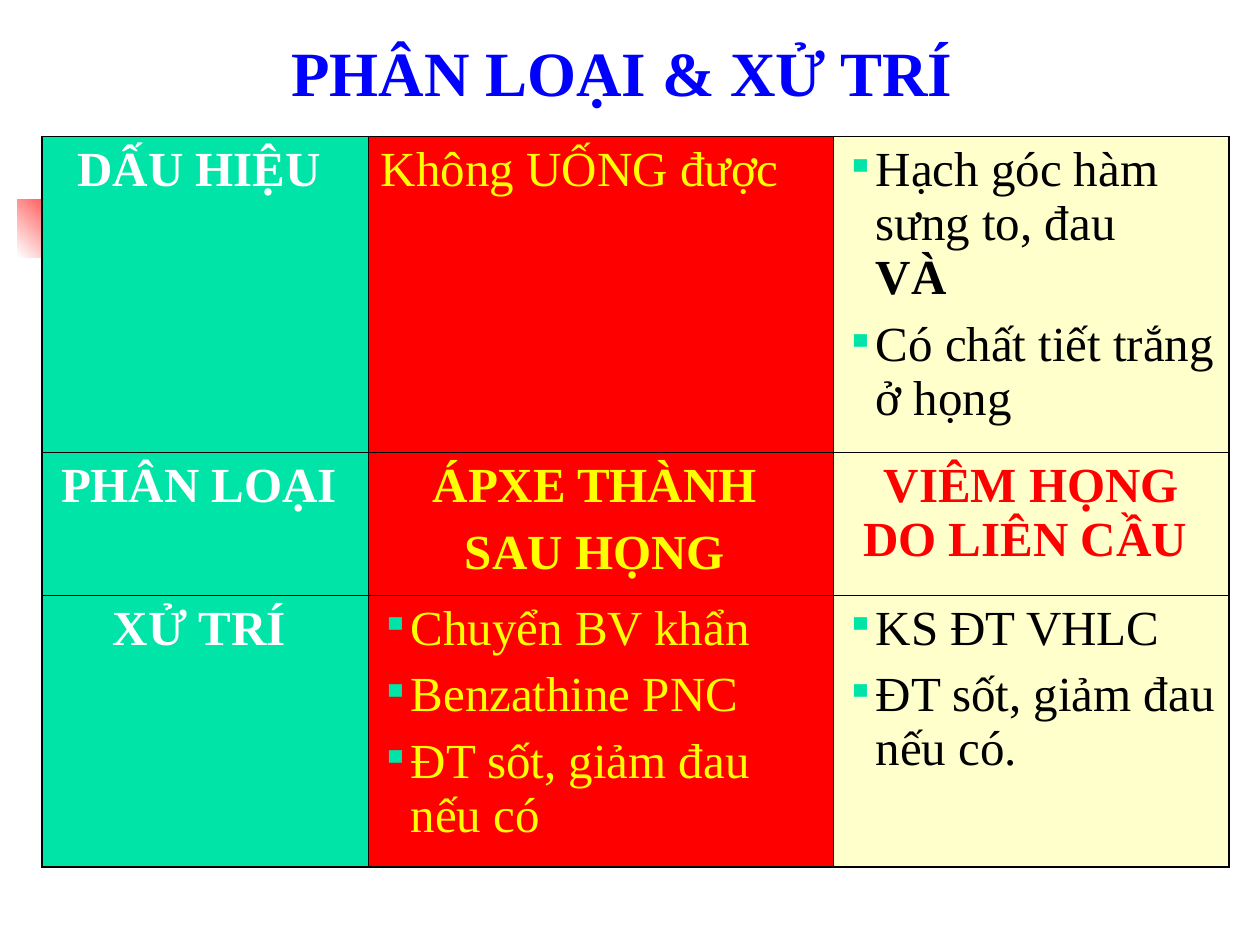
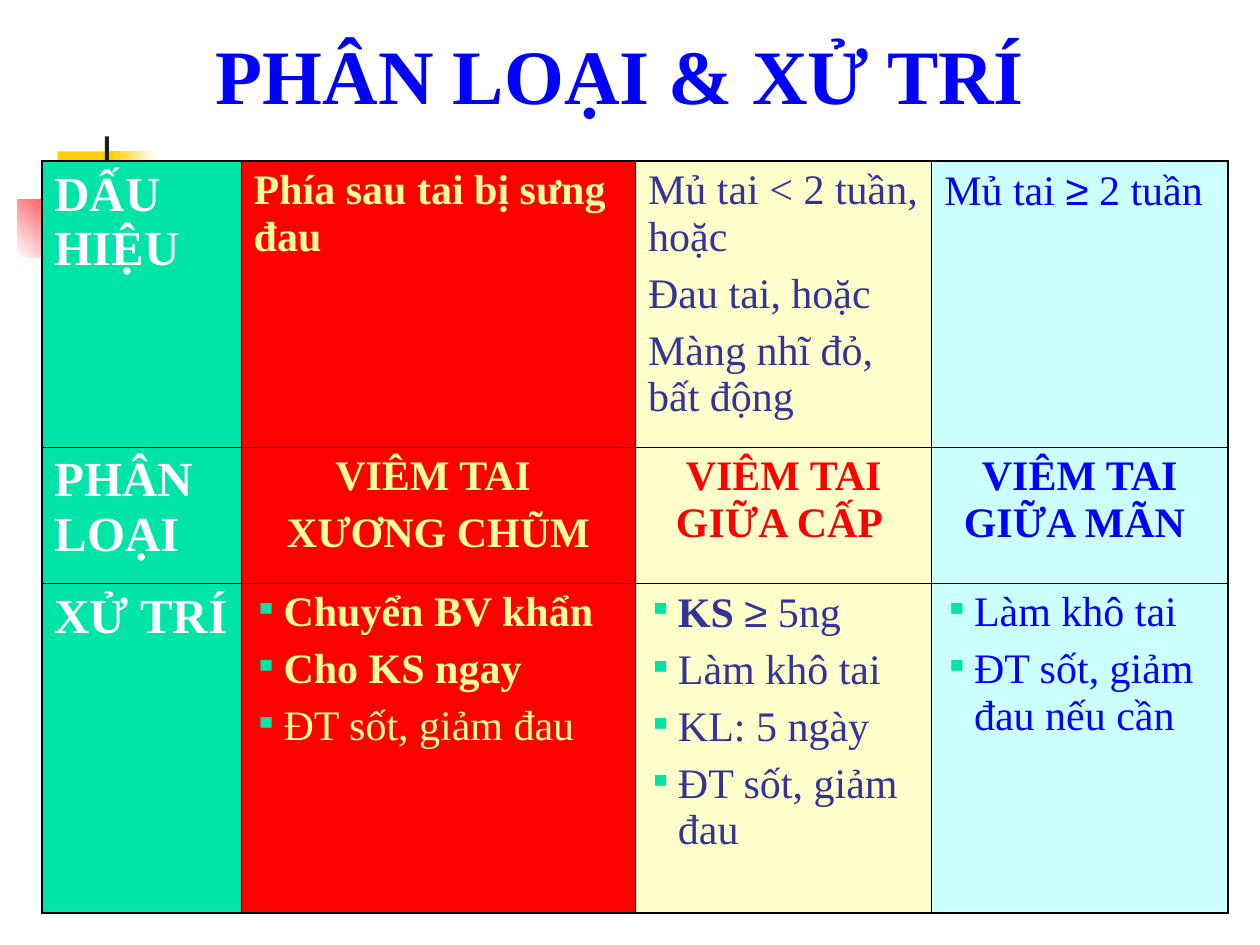
"""Build two slides of classification and treatment tables for throat and ear infections."""
from lxml import etree
from pptx import Presentation
from pptx import util as u
from pptx.dml import color
from pptx.enum import shapes, text
from pptx.oxml import ns

Pt = u.Pt
FONT = "Times New Roman"
TITLE = "PHÂN LOẠI & XỬ TRÍ "
BLACK, WHITE, BLUE, RED = "000000", "FFFFFF", "0000FF", "FF0000"
GREEN, YELLOW, PALE_YELLOW = "00E4A8", "FFFF00", "FFFF99"
CREAM, PALE_CYAN, NAVY = "FFFFCC", "CCFFFF", "333399"
GOLD, INDIGO, CHARCOAL = "FFCF01", "3333CC", "1C1C1C"
LEFT, CENTER = text.PP_ALIGN.LEFT, text.PP_ALIGN.CENTER
TABLE_LEFT = 24
OUTER_LINE, INNER_LINE = 1.08, 0.45
BULLET_INDENT = 17


def rgb(value):
    return color.RGBColor.from_string(value)


def add_element(parent, tag, **attributes):
    return etree.SubElement(parent, ns.qn(tag), **attributes)


# left, top, width, height, gradient start and end, angle
decorations = [
    (33, 86.5, 34.5, 37.5, GOLD, GOLD, 0),
    (63.5, 86.5, 26, 37.5, GOLD, WHITE, 0),
    (42.5, 119.5, 33, 37.5, INDIGO, INDIGO, 0),
    (72, 119.5, 29, 37.5, INDIGO, WHITE, 0),
    (10, 114, 44, 33, WHITE, RED, 45),
    (60, 78, 2.2, 83, CHARCOAL, CHARCOAL, 0),
    (34.5, 140.5, 648, 2.2, CHARCOAL, WHITE, 0),
]

# cell: text colour, bold, alignment, bulleted, paragraphs (a list is one of runs: text, font, bold)
throat = {
    "title": (36, 54),
    "top": 78,
    "rows": [180.7, 81.4, 155.5],
    "sizes": [28, 28, 28],
    "columns": [
        (186.5, GREEN, [
            (WHITE, True, CENTER, False, ["DẤU HIỆU "]),
            (WHITE, True, CENTER, False, ["PHÂN LOẠI "]),
            (WHITE, True, CENTER, False, ["XỬ TRÍ "]),
        ]),
        (265.7, RED, [
            (YELLOW, False, LEFT, False, ["Không UỐNG được"]),
            (YELLOW, True, CENTER, False, ["ÁPXE THÀNH ", "SAU HỌNG "]),
            (YELLOW, False, LEFT, True,
             ["Chuyển BV khẩn", "Benzathine PNC", "ĐT sốt, giảm đau nếu có"]),
        ]),
        (226.1, CREAM, [
            (BLACK, False, LEFT, True,
             [[("Hạch góc hàm sưng to, đau", FONT, False), ("\n", FONT, False), ("VÀ", FONT, True)],
              "Có chất tiết trắng ở họng"]),
            (RED, True, CENTER, False, ["VIÊM HỌNG DO LIÊN CẦU "]),
            (BLACK, False, LEFT, True, ["KS ĐT VHLC", "ĐT sốt, giảm đau nếu có."]),
        ]),
    ],
}
ear = {
    "title": (44, 60),
    "top": 92,
    "rows": [163.4, 77.8, 188.6],
    "sizes": [28, 24, 24, 24],
    "columns": [
        (113.8, GREEN, [
            (WHITE, True, LEFT, False, ["DẤU HIỆU"]),
            (WHITE, True, LEFT, False, ["PHÂN LOẠI"]),
            (WHITE, True, LEFT, False, ["XỬ TRÍ"]),
        ]),
        (225.4, RED, [
            (PALE_YELLOW, True, LEFT, False, ["Phía sau tai bị sưng đau"]),
            (PALE_YELLOW, True, CENTER, False, ["VIÊM TAI ", "XƯƠNG CHŨM"]),
            (PALE_YELLOW, True, LEFT, True,
             ["Chuyển BV khẩn", "Cho KS ngay", [("ĐT sốt, giảm đau", FONT, False)]]),
        ]),
        (169.2, CREAM, [
            (NAVY, False, LEFT, False,
             ["Mủ tai < 2 tuần, hoặc", "Đau tai, hoặc", "Màng nhĩ đỏ, bất động"]),
            (RED, True, CENTER, False, ["VIÊM TAI GIỮA CẤP "]),
            (NAVY, False, LEFT, True,
             [[("KS ", FONT, True), ("≥", "Arial", False), (" 5ng", FONT, False)],
              "Làm khô tai", "KL: 5 ngày", "ĐT sốt, giảm đau"]),
        ]),
        (169.2, PALE_CYAN, [
            (BLUE, False, LEFT, False,
             [[("Mủ tai ", FONT, False), ("≥", "Arial", False), (" 2 tuần", FONT, False)]]),
            (BLUE, True, CENTER, False, ["VIÊM TAI GIỮA MÃN "]),
            (BLUE, False, LEFT, True, ["Làm khô tai", "ĐT sốt, giảm đau nếu cần"]),
        ]),
    ],
}

presentation = Presentation()
presentation.slide_width, presentation.slide_height = Pt(720), Pt(540)
layout = presentation.slide_layouts[5]
slides = [presentation.slides.add_slide(layout) for _ in (throat, ear)]

for position, (left, top, width, height, start, end, angle) in enumerate(decorations):
    shape = slides[0].shapes.add_shape(
        shapes.MSO_SHAPE.RECTANGLE, Pt(left), Pt(top), Pt(width), Pt(height))
    shape.shadow.inherit = False
    shape.line.fill.background()
    if start == end:
        shape.fill.solid()
        shape.fill.fore_color.rgb = rgb(start)
    else:
        shape.fill.gradient()
        shape.fill.gradient_angle = angle
        for stop, value in zip(shape.fill.gradient_stops, (start, end)):
            stop.color.rgb = rgb(value)
    layout.shapes.element.insert(2 + position, shape.element)

for slide, content in zip(slides, (throat, ear)):
    title_size, title_height = content["title"]
    title = slide.shapes.title
    title.left, title.top, title.width, title.height = Pt(54), Pt(12), Pt(612), Pt(title_height)
    title.text_frame.text = TITLE
    title.text_frame.auto_size = text.MSO_AUTO_SIZE.NONE
    title.text_frame.vertical_anchor = text.MSO_ANCHOR.BOTTOM
    paragraph = title.text_frame.paragraphs[0]
    paragraph.alignment = CENTER
    paragraph.font.name, paragraph.font.size, paragraph.font.bold = FONT, Pt(title_size), True
    paragraph.font.color.rgb = rgb(BLUE)

    heights, columns = content["rows"], content["columns"]
    table_width = sum(column[0] for column in columns)
    table = slide.shapes.add_table(
        len(heights), len(columns), Pt(TABLE_LEFT), Pt(content["top"]),
        Pt(table_width), Pt(sum(heights))).table
    table.first_row = table.horz_banding = False
    for row, height in zip(table.rows, heights):
        row.height = Pt(height)

    for column_index, (width, fill, cells) in enumerate(columns):
        table.columns[column_index].width = Pt(width)
        size = content["sizes"][column_index]
        for row_index, (text_color, bold, alignment, bulleted, paragraphs) in enumerate(cells):
            cell = table.cell(row_index, column_index)
            properties = cell._tc.get_or_add_tcPr()
            edges = {
                "a:lnL": column_index == 0,
                "a:lnR": column_index == len(columns) - 1,
                "a:lnT": row_index == 0,
                "a:lnB": row_index == len(heights) - 1,
            }
            for tag, is_outer in edges.items():
                line_width = Pt(OUTER_LINE if is_outer else INNER_LINE)
                border = add_element(properties, tag, w=str(line_width))
                add_element(add_element(border, "a:solidFill"), "a:srgbClr", val=BLACK)
            cell.fill.solid()
            cell.fill.fore_color.rgb = rgb(fill)

            for index, runs in enumerate(paragraphs):
                frame = cell.text_frame
                paragraph = frame.add_paragraph() if index else frame.paragraphs[0]
                paragraph.alignment = alignment
                if index:
                    paragraph.space_before = Pt(size / 4)
                if bulleted:
                    bullet = paragraph._p.get_or_add_pPr()
                    bullet.set("marL", str(Pt(BULLET_INDENT)))
                    bullet.set("indent", str(-Pt(BULLET_INDENT)))
                    add_element(add_element(bullet, "a:buClr"), "a:srgbClr", val=GREEN)
                    add_element(bullet, "a:buSzPct", val="80000")
                    add_element(bullet, "a:buChar", char="▪")
                paragraph.font.name, paragraph.font.size = FONT, Pt(size)
                paragraph.font.color.rgb = rgb(text_color)
                if isinstance(runs, str):
                    paragraph.font.bold = bold
                    paragraph.add_run().text = runs
                    continue
                for words, font_name, run_bold in runs:
                    if words == "\n":
                        paragraph.add_line_break()
                        continue
                    run = paragraph.add_run()
                    run.text = words
                    run.font.name, run.font.bold = font_name, run_bold

presentation.save("out.pptx")
